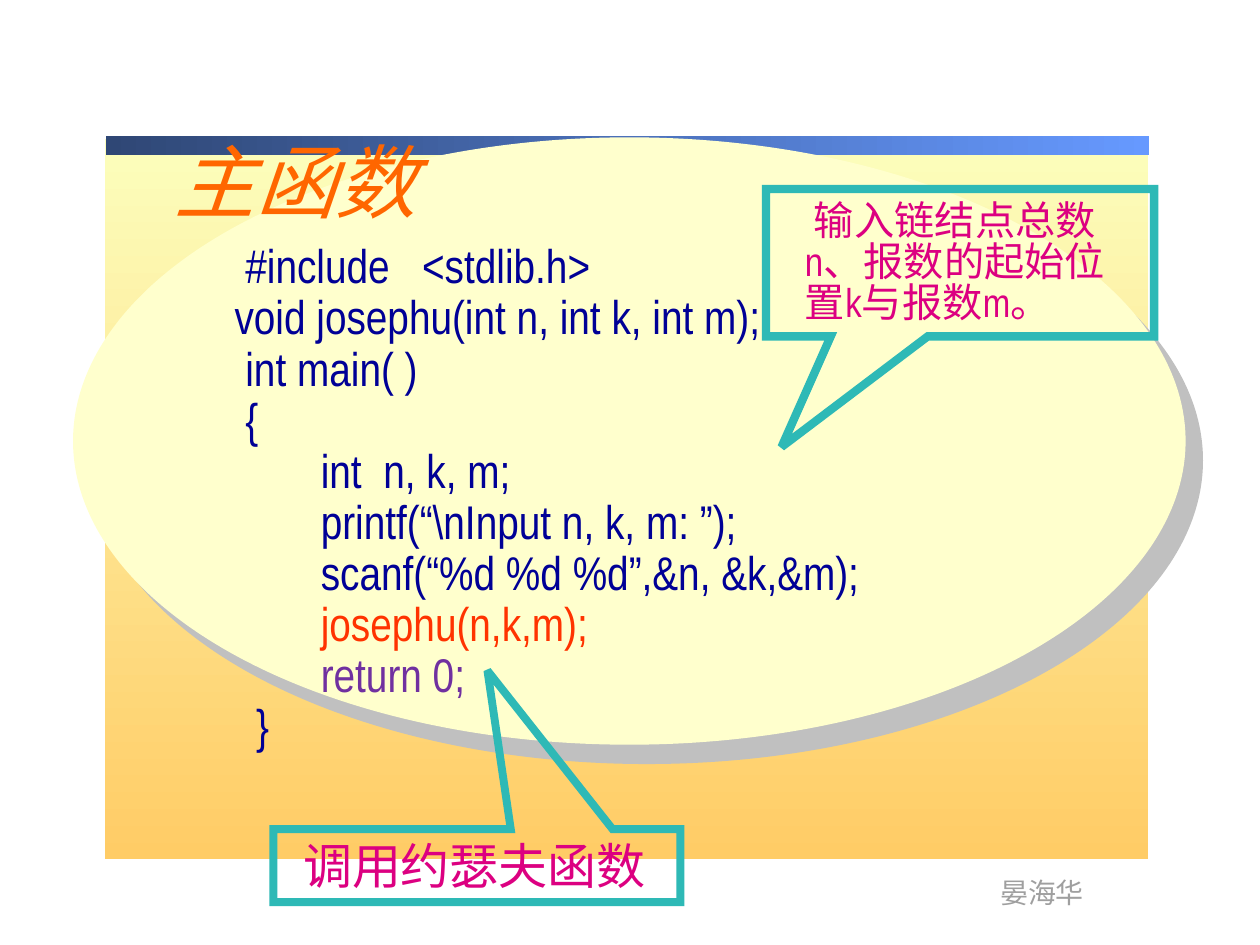
from lxml import etree
from pptx import Presentation
from pptx import util as u
from pptx.dml import color
from pptx.enum import shapes, text
from pptx.oxml import ns

LATIN, CHINESE = "Arial Narrow", "Noto Sans CJK SC"
NAVY, MAGENTA, TEAL = "000096", "DC0081", "2EB9B6"
CODE = [
    [("       #include   <stdlib.h>", NAVY)],
    [("      void josephu(int n, int k, int m);", NAVY)],
    [("       int main( )", NAVY)],
    [("       {", NAVY)],
    [("              int  n, k, m;", NAVY)],
    [("              printf(“\\nInput n, k, m: ”);", NAVY)],
    [("              scanf(“%d %d %d”,&n, &k,&m);", NAVY)],
    [("              josephu(n,k,m);", "FF3300")],
    [("              return 0;", "7030A0")],
    [("        }", NAVY)],
]
INPUT_NOTE = [
    [(" 输入链结点总数", CHINESE)],
    [("n", LATIN), ("、报数的起始位", CHINESE)],
    [("置", CHINESE), ("k", LATIN), ("与报数", CHINESE), ("m", LATIN), ("。", CHINESE)],
]


def rgb(value):
    return color.RGBColor.from_string(value)


def place(box):
    return [u.Inches(length) for length in box]


def child(parent, tag, **values):
    return etree.SubElement(parent, ns.qn(tag), values)


def add_shadow(properties, value, distance, direction):
    effects = child(properties, "a:effectLst")
    shadow = child(effects, "a:outerShdw", blurRad="0", dist=str(u.Pt(distance)),
                   dir=str(direction * 60000), algn="ctr", rotWithShape="0")
    child(shadow, "a:srgbClr", val=value)


def add_shape(page, kind, box):
    shape = page.shapes.add_shape(kind, *place(box))
    shape.line.fill.background()
    return shape


def add_gradient(page, box, start, end, angle):
    shape = add_shape(page, shapes.MSO_SHAPE.RECTANGLE, box)
    shape.shadow.inherit = False
    shape.fill.gradient()
    shape.fill.gradient_angle = angle
    for stop, value, position in zip(shape.fill.gradient_stops, (start, end), (0, 1)):
        stop.color.rgb = rgb(value)
        stop.position = position


def add_text(page, box, lines, size, spacing=1, wrap=True, **formats):
    frame = page.shapes.add_textbox(*place(box)).text_frame
    frame.word_wrap = wrap
    for index, line in enumerate(lines):
        para = frame.paragraphs[0] if index == 0 else frame.add_paragraph()
        para.line_spacing = spacing
        for name, value in formats.items():
            setattr(para, name, value)
        for words, value, face, italic in line:
            span = para.add_run()
            span.text = words
            for name, setting in {"size": u.Pt(size), "name": face, "italic": italic}.items():
                setattr(span.font, name, setting)
            span.font.color.rgb = rgb(value)
    return frame


def add_backdrop(page, box):
    left, top, width, height = box
    add_gradient(page, box, "FCFEBC", "FFCC66", 270)
    add_gradient(page, (left + 0.01, top - 0.02, width, 0.15), "2F4775", "6699FF", 0)
    add_text(page, (left + 7.01, top + 5.8, 0.87, 0.37),
             [[("晏海华", "9F9F9F", LATIN, False)]], 16, wrap=False)


def add_program(page, box):
    left, top, width, height = box
    ellipse = add_shape(page, shapes.MSO_SHAPE.OVAL, box)
    ellipse.fill.solid()
    ellipse.fill.fore_color.rgb = rgb("FFFFCD")
    add_shadow(ellipse._element.spPr, "C0C0C0", 14.9, 48)
    lines = [[(words, value, LATIN, False) for words, value in line] for line in CODE]
    add_text(page, (left + 0.67, top + 0.79, 7.75, 4.2), lines, 27, 0.9)
    title = add_text(page, (left + 0.71, top - 0.09, 2.38, 0.87),
                     [[("主函数", "FF6600", LATIN, True)]], 46)
    properties = title.paragraphs[0].runs[0].font._element
    add_shadow(properties, "000000", 3, 45)
    properties.insert(1, properties[-1])


def add_callout(page, box, tip, weight):
    shape = add_shape(page, shapes.MSO_SHAPE.RECTANGULAR_CALLOUT, box)
    shape.shadow.inherit = False
    shape.fill.background()
    shape.line.color.rgb = rgb(TEAL)
    shape.line.width = u.Pt(weight)
    child(shape.line._ln, "a:miter", lim="800000")
    for index, value in enumerate(tip):
        shape.adjustments[index] = value


def add_input_note(page, box):
    left, top, width, height = box
    add_callout(page, box, (-0.46, 1.25), 4.75)
    lines = [[(words, MAGENTA, face, False) for words, face in line] for line in INPUT_NOTE]
    add_text(page, (left + 0.21, top + 0.06, 2.92, 1.08), lines, 23, 0.85)


def add_call_note(page, box):
    left, top, width, height = box
    add_callout(page, box, (0.026, -2.67), 4.5)
    add_text(page, (left + 0.06, top, 3.07, 0.57),
             [[("调用约瑟夫函数", MAGENTA, CHINESE, False)]], 28,
             alignment=text.PP_ALIGN.CENTER)


def main():
    deck = Presentation()
    deck.slide_width, deck.slide_height = u.Inches(10), u.Inches(7.5)
    page = deck.slides.add_slide(deck.slide_layouts[6])
    add_backdrop(page, (0.83, 1.1, 8.28, 5.72))
    add_program(page, (0.58, 1.09, 8.83, 4.82))
    add_input_note(page, (6.08, 1.5, 3.08, 1.17))
    add_call_note(page, (2.17, 6.58, 3.23, 0.58))
    deck.save("out.pptx")


if __name__ == "__main__":
    main()
